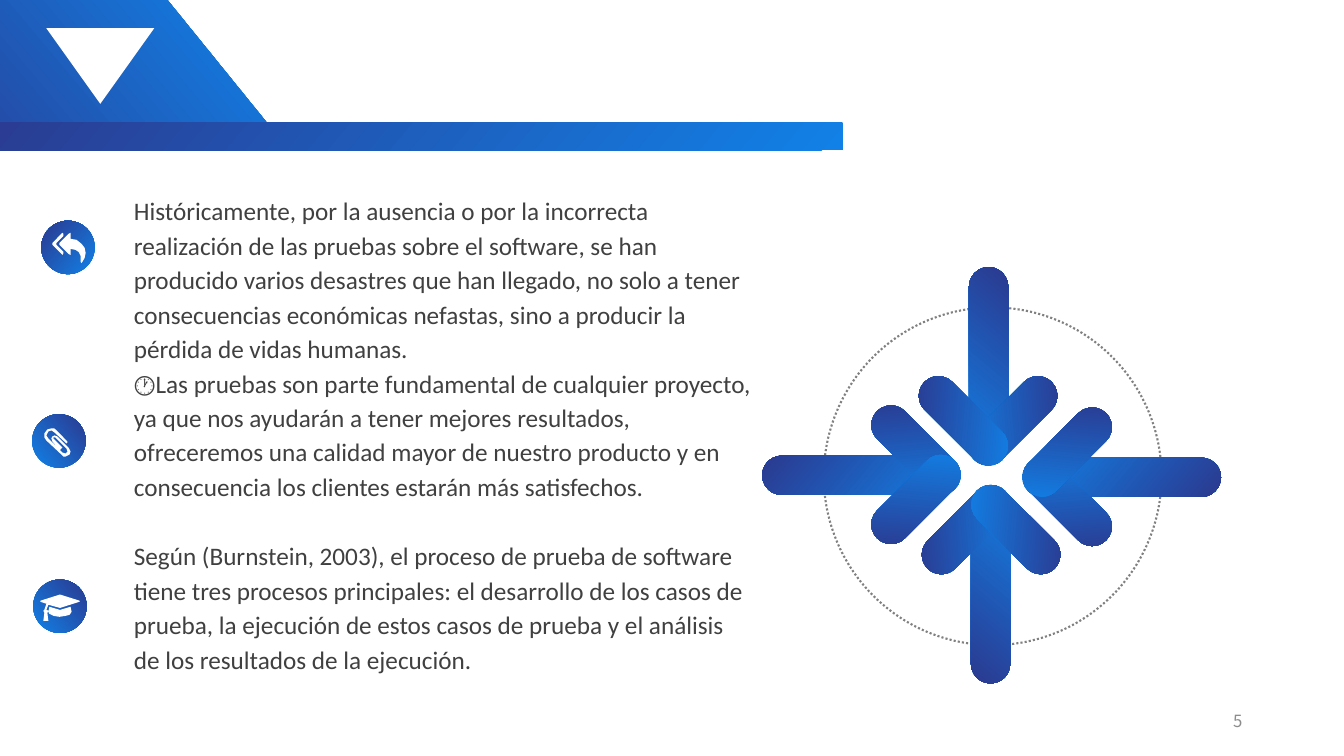
from dataclasses import dataclass
from math import cos, radians, sin

from pptx import Presentation
from pptx.dml.color import RGBColor
from pptx.enum.dml import MSO_LINE
from pptx.enum.shapes import MSO_SHAPE
from pptx.enum.text import MSO_ANCHOR, PP_ALIGN
from pptx.util import Pt

PX = 9144  # EMU per px, 100 px to the inch
LIGHT_BLUE = RGBColor(0x11, 0x81, 0xE7)
DARK_BLUE = RGBColor(0x2B, 0x39, 0x8F)
WHITE = RGBColor(0xFF, 0xFF, 0xFF)
RING_GREY = RGBColor(0x80, 0x80, 0x80)
TEXT_GREY = RGBColor(0x40, 0x40, 0x40)
NUMBER_GREY = RGBColor(0x8C, 0x8C, 0x8C)

BAR_HEIGHT, SHAFT_LENGTH, BARB_LENGTH = 39, 197, 109
BARB_FORWARD, BARB_SIDE = 54, 24.5
BADGE_SIZE = 53

Contour = list[tuple[int, int]]


@dataclass
class Block:
    kind: MSO_SHAPE
    left: int
    top: int
    width: int
    height: int
    rotation: int = 0
    flip: str = ""
    adjustment: float | None = None


@dataclass
class Arrow:
    """An arrow given by the centre of its shaft and its direction."""
    x: int
    y: int
    angle: int


@dataclass
class Badge:
    left: int
    top: int
    flip: str
    contours: list[Contour]


ARROWS = [Arrow(980, 364, 90), Arrow(1112, 473, 180),
          Arrow(855, 471, 0), Arrow(983, 580, 270)]

REPLY_ICON: list[Contour] = [
    [(63, 251), (62, 253), (61, 252), (52, 243), (52, 241), (61, 232),
     (62, 231), (63, 232), (63, 234), (56, 241), (56, 243), (63, 250)],
    [(81, 261), (80, 260), (80, 254), (78, 250), (75, 248), (70, 247),
     (70, 253), (68, 252), (59, 243), (59, 241), (68, 232), (70, 231),
     (70, 237), (76, 238), (81, 242), (84, 246), (85, 251), (84, 256)],
]
CLIP_ICON: list[Contour] = [
    [(65, 453), (63, 453), (61, 451), (46, 437), (44, 434), (44, 430),
     (47, 426), (51, 425), (54, 425), (56, 427), (67, 438), (67, 439),
     (66, 440), (54, 429), (51, 427), (48, 428), (46, 432), (48, 435),
     (62, 449), (65, 450), (67, 448), (66, 445), (55, 434), (53, 434),
     (53, 435), (61, 443), (62, 444), (60, 446), (59, 446), (52, 438),
     (51, 435), (52, 433), (54, 432), (57, 433), (68, 444), (70, 448),
     (69, 451)],
]
CAP_ICON: list[Contour] = [
    [(79, 597), (60, 603), (59, 603), (48, 600), (46, 605), (48, 606),
     (47, 608), (48, 616), (43, 616), (44, 608), (43, 606), (44, 605),
     (46, 599), (40, 597), (40, 596), (59, 590), (60, 590), (79, 596)],
    [(71, 607), (69, 610), (65, 611), (59, 612), (53, 611), (49, 609),
     (48, 607), (49, 602), (59, 605), (60, 605), (70, 602)],
]
BADGES = [Badge(41, 219, "", REPLY_ICON), Badge(32, 411, "flipH", CLIP_ICON),
          Badge(33, 575, "flipH", CAP_ICON)]

PARAGRAPHS = [
    "Históricamente, por la ausencia o por la incorrecta realización de las "
    "pruebas sobre el software, se han producido varios desastres que han "
    "llegado, no solo a tener consecuencias económicas nefastas, sino a "
    "producir la pérdida de vidas humanas.",
    "🕐Las pruebas son parte fundamental de cualquier proyecto, ya que nos "
    "ayudarán a tener mejores resultados, ofreceremos una calidad mayor de "
    "nuestro producto y en consecuencia los clientes estarán más satisfechos.",
    "Según (Burnstein, 2003), el proceso de prueba de software tiene tres "
    "procesos principales: el desarrollo de los casos de prueba, la ejecución "
    "de estos casos de prueba y el análisis de los resultados de la ejecución.",
]
BODY_FORMAT = {"line_spacing": 1.14}
REFERENCE_FORMAT = {"line_spacing": 1.14, "space_before": Pt(25)}
NUMBER_FORMAT = {"alignment": PP_ALIGN.RIGHT}
BODY_FONT = {"name": "Calibri", "size": Pt(18)}
NUMBER_FONT = {"name": "Noto Sans CJK SC", "size": Pt(12)}


def apply_format(target, values: dict) -> None:
    for name, value in values.items():
        setattr(target, name, value)


def draw_block(shapes, block: Block):
    """Add a preset shape without outline or shadow."""
    box = shapes.add_shape(block.kind, block.left * PX, block.top * PX,
                           block.width * PX, block.height * PX)
    box.shadow.inherit = False
    box.line.fill.background()
    box.rotation = block.rotation
    if block.flip:
        box.element.spPr.get_or_add_xfrm().set(block.flip, "1")
    if block.adjustment is not None:
        box.adjustments[0] = block.adjustment
    return box


def draw_gradient_block(shapes, block: Block) -> None:
    fill = draw_block(shapes, block).fill
    fill.gradient()
    fill.gradient_angle = 140
    for stop, color, position in zip(fill.gradient_stops, (LIGHT_BLUE, DARK_BLUE), (0, 1)):
        stop.color.rgb = color
        stop.position = position


def draw_bar(shapes, x: float, y: float, length: int, angle: int, flip: str = "") -> None:
    draw_gradient_block(shapes, Block(
        MSO_SHAPE.ROUNDED_RECTANGLE, round(x - length / 2), round(y - BAR_HEIGHT / 2),
        length, BAR_HEIGHT, angle % 360, flip, 0.5))


def draw_arrow(shapes, arrow: Arrow) -> None:
    """Group a shaft with the two barbs on either side of its tip."""
    group = shapes.add_group_shape().shapes
    draw_bar(group, arrow.x, arrow.y, SHAFT_LENGTH, arrow.angle)
    along_x, along_y = cos(radians(arrow.angle)), sin(radians(arrow.angle))
    for side, flip in ((-1, ""), (1, "flipV")):
        offset = side * BARB_SIDE
        draw_bar(group, arrow.x + BARB_FORWARD * along_x - offset * along_y,
                 arrow.y + BARB_FORWARD * along_y + offset * along_x,
                 BARB_LENGTH, arrow.angle - side * 45, flip)


def draw_badge(shapes, badge: Badge) -> None:
    draw_gradient_block(shapes, Block(MSO_SHAPE.OVAL, badge.left, badge.top,
                                      BADGE_SIZE, BADGE_SIZE, flip=badge.flip))
    first, *others = badge.contours
    builder = shapes.build_freeform(*first[0], scale=float(PX))
    builder.add_line_segments(first[1:], close=True)
    for contour in others:
        builder.move_to(*contour[0])
        builder.add_line_segments(contour[1:], close=True)
    icon = builder.convert_to_shape()
    icon.shadow.inherit = False
    icon.fill.solid()
    icon.fill.fore_color.rgb = WHITE
    icon.line.fill.background()


def draw_text(shapes, left: int, top: int, width: int, height: int,
              content: list[tuple[str, dict]], font: dict, color: RGBColor):
    frame = shapes.add_textbox(left * PX, top * PX, width * PX, height * PX).text_frame
    frame.word_wrap = True
    for index, (text, layout) in enumerate(content):
        para = frame.add_paragraph() if index else frame.paragraphs[0]
        apply_format(para, layout)
        span = para.add_run()
        span.text = text
        apply_format(span.font, font)
        span.font.color.rgb = color
    return frame


def main() -> None:
    deck = Presentation()
    apply_format(deck, {"slide_width": 1333 * PX, "slide_height": 750 * PX})
    shapes = deck.slides.add_slide(deck.slide_layouts[6]).shapes

    # Header with a plain emblem
    draw_gradient_block(shapes, Block(MSO_SHAPE.PARALLELOGRAM, -149, 0, 418, 127,
                                      flip="flipV", adjustment=0.81))
    emblem = draw_block(shapes, Block(MSO_SHAPE.FLOWCHART_MERGE, 46, 28, 107, 75))
    emblem.fill.solid()
    emblem.fill.fore_color.rgb = WHITE
    draw_gradient_block(shapes, Block(MSO_SHAPE.RECTANGLE, -41, 122, 877, 27))

    # Dotted ring and converging arrows
    ring = draw_block(shapes, Block(MSO_SHAPE.OVAL, 817, 305, 335, 335))
    ring.fill.background()
    ring.line.color.rgb = RING_GREY
    apply_format(ring.line, {"width": Pt(1.5), "dash_style": MSO_LINE.ROUND_DOT})
    for arrow in ARROWS:
        draw_arrow(shapes, arrow)

    # Round icons beside the paragraphs
    for badge in BADGES:
        draw_badge(shapes, badge)

    # Body text and page number
    layouts = [BODY_FORMAT, BODY_FORMAT, REFERENCE_FORMAT]
    draw_text(shapes, 123, 185, 634, 493, list(zip(PARAGRAPHS, layouts)), BODY_FONT, TEXT_GREY)
    number = draw_text(shapes, 942, 695, 300, 40, [("5", NUMBER_FORMAT)],
                       NUMBER_FONT, NUMBER_GREY)
    number.vertical_anchor = MSO_ANCHOR.MIDDLE

    deck.save("out.pptx")


if __name__ == "__main__":
    main()
